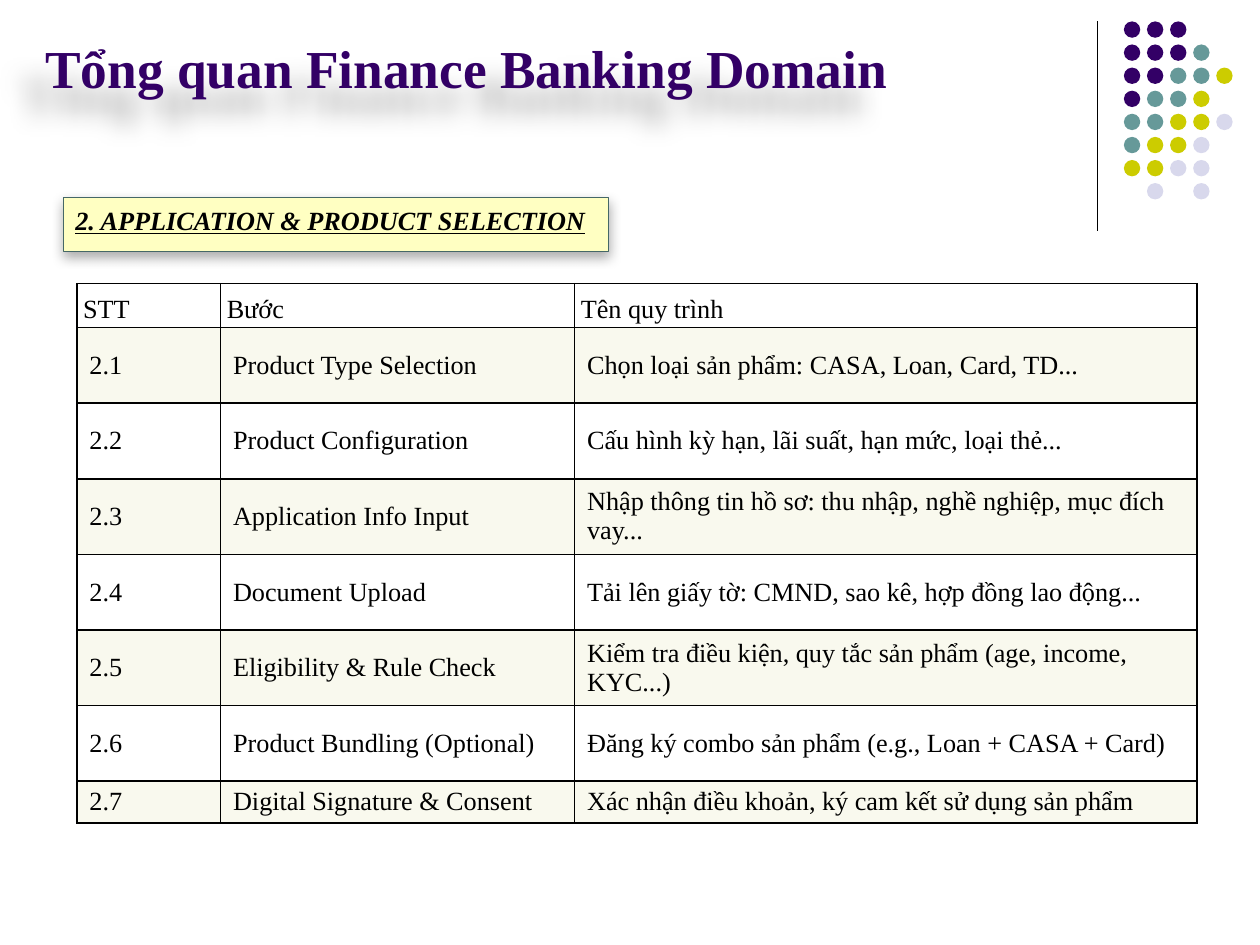
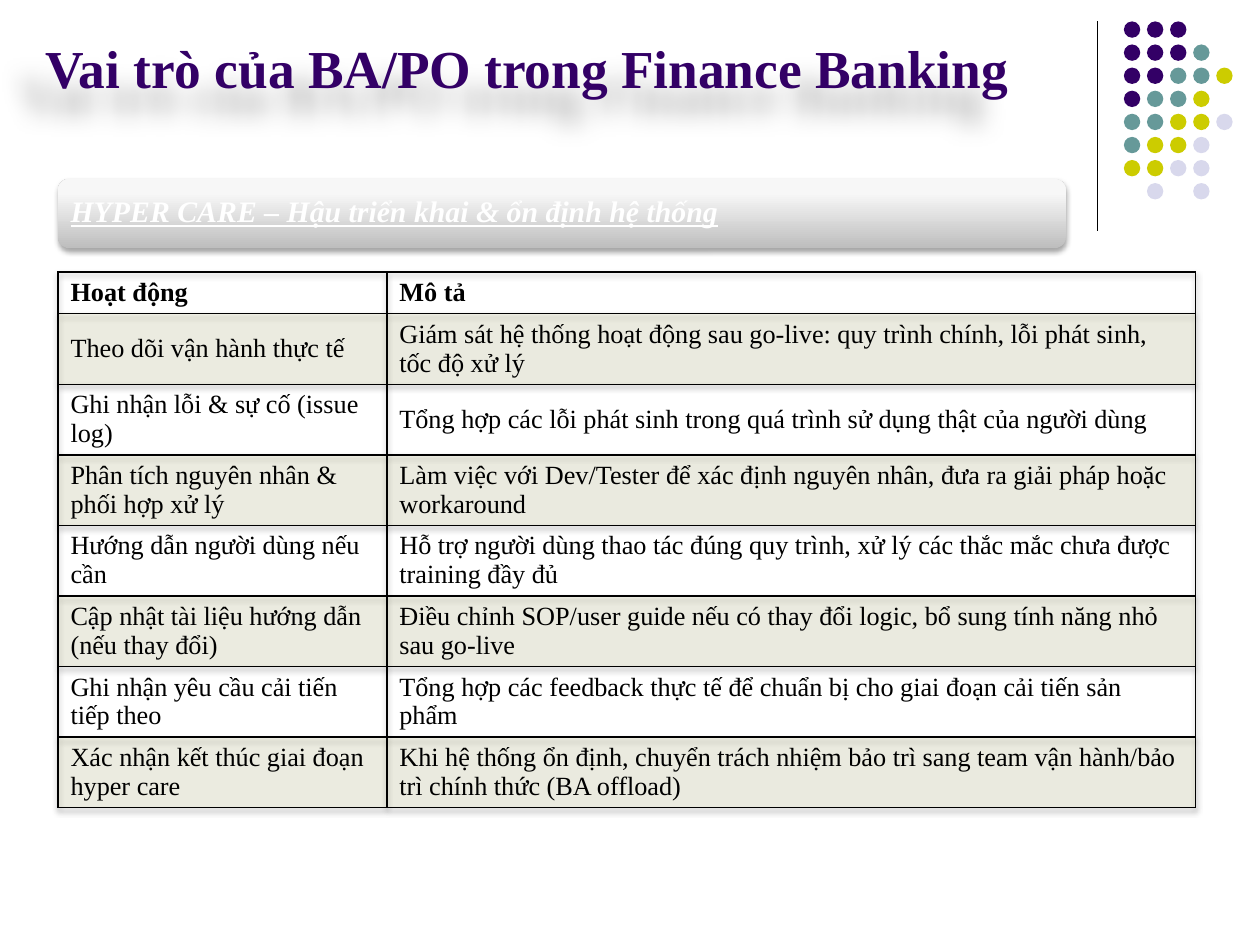
from lxml.etree import SubElement as Sub
from pptx import Presentation
from pptx.dml.color import RGBColor
from pptx.enum.shapes import MSO_CONNECTOR as Conn, MSO_SHAPE as Kind
from pptx.enum.text import MSO_ANCHOR as Anchor, PP_ALIGN as Align
from pptx.oxml import parse_xml
from pptx.oxml.ns import nsdecls, qn
from pptx.util import Inches, Pt

# Shared look
FONT = "Times New Roman"
BLACK = RGBColor(0x00, 0x00, 0x00)
WHITE = RGBColor(0xFF, 0xFF, 0xFF)
PLUM = RGBColor(0x33, 0x00, 0x66)
TEAL = RGBColor(0x66, 0x99, 0x99)
OLIVE = RGBColor(0xCC, 0xCC, 0x00)
LILAC = RGBColor(0xD8, 0xD8, 0xEC)
CREAM = RGBColor(0xFF, 0xFF, 0xC2)
MOSS = RGBColor(0x45, 0x67, 0x67)
BAND = RGBColor(0xE2, 0xE2, 0xAA)
GREY = RGBColor(0xBE, 0xBE, 0xBE)
PALE = RGBColor(0xF7, 0xF7, 0xF7)

# Dot grid, one letter a dot
DOTS = ("PPP", "PPPT", "PPTTY", "PTTY", "TTYYL", "TYYL", "YYLL", " L L")
HUES = {"P": PLUM, "T": TEAL, "Y": OLIVE, "L": LILAC}
STEP = 0.55 / 3

# Shadows: opacity %, blur pt, distance pt, angle
TITLE_SHADE = (30, 14, 20, 137)
LABEL_SHADE = (32, 7, 2.8, 90)
SOFT_SHADE = (35, 3.1, 1.8, 90)

STEPS = [
    ("STT", "Bước", "Tên quy trình"),
    ("2.1", "Product Type Selection",
     "Chọn loại sản phẩm: CASA, Loan, Card, TD..."),
    ("2.2", "Product Configuration",
     "Cấu hình kỳ hạn, lãi suất, hạn mức, loại thẻ..."),
    ("2.3", "Application Info Input",
     "Nhập thông tin hồ sơ: thu nhập, nghề nghiệp, mục đích vay..."),
    ("2.4", "Document Upload",
     "Tải lên giấy tờ: CMND, sao kê, hợp đồng lao động..."),
    ("2.5", "Eligibility & Rule Check",
     "Kiểm tra điều kiện, quy tắc sản phẩm (age, income, KYC...)"),
    ("2.6", "Product Bundling (Optional)",
     "Đăng ký combo sản phẩm (e.g., Loan + CASA + Card)"),
    ("2.7", "Digital Signature & Consent",
     "Xác nhận điều khoản, ký cam kết sử dụng sản phẩm"),
]
TASKS = [
    ("Hoạt động", "Mô tả"),
    ("Theo dõi vận hành thực tế",
     "Giám sát hệ thống hoạt động sau go-live: quy trình chính, "
     "lỗi phát sinh, tốc độ xử lý"),
    ("Ghi nhận lỗi & sự cố (issue log)",
     "Tổng hợp các lỗi phát sinh trong quá trình sử dụng thật của người dùng"),
    ("Phân tích nguyên nhân & phối hợp xử lý",
     "Làm việc với Dev/Tester để xác định nguyên nhân, đưa ra giải pháp "
     "hoặc workaround"),
    ("Hướng dẫn người dùng nếu cần",
     "Hỗ trợ người dùng thao tác đúng quy trình, xử lý các thắc mắc "
     "chưa được training đầy đủ"),
    ("Cập nhật tài liệu hướng dẫn (nếu thay đổi)",
     "Điều chỉnh SOP/user guide nếu có thay đổi logic, bổ sung tính năng nhỏ "
     "sau go-live"),
    ("Ghi nhận yêu cầu cải tiến tiếp theo",
     "Tổng hợp các feedback thực tế để chuẩn bị cho giai đoạn cải tiến "
     "sản phẩm"),
    ("Xác nhận kết thúc giai đoạn hyper care",
     "Khi hệ thống ổn định, chuyển trách nhiệm bảo trì sang team "
     "vận hành/bảo trì chính thức (BA offload)"),
]


def shade(look):
    """Return an effect list with one outer shadow."""
    alpha, blur, dist, turn = look
    return parse_xml(
        f'<a:effectLst {nsdecls("a")}><a:outerShdw blurRad="{Pt(blur)}" '
        f'dist="{Pt(dist)}" dir="{turn * 60000}" algn="ctr" rotWithShape="0">'
        f'<a:srgbClr val="{BLACK}"><a:alpha val="{alpha * 1000}"/></a:srgbClr>'
        '</a:outerShdw></a:effectLst>')


def cast(shape, look):
    shape.shadow.inherit = False
    props = shape._element.spPr
    props.replace(props.find(qn("a:effectLst")), shade(look))


def write(frame, text, size, color=BLACK, bold=False, slant=False):
    """Fill the first paragraph with one run; slanted text is underlined."""
    frame.word_wrap = True
    para = frame.paragraphs[0]
    run = para.add_run()
    run.text = text
    font = run.font
    font.name, font.size, font.bold = FONT, Pt(size), bold
    font.color.rgb = color
    if slant:
        font.italic = font.underline = True
    return para


def add_box(slide, kind, *place):
    shape = slide.shapes.add_shape(kind, *map(Inches, place))
    shape.shadow.inherit = False
    shape.line.fill.background()
    return shape


def add_text(slide, place, anchor, *words, **style):
    box = slide.shapes.add_textbox(*map(Inches, place))
    box.text_frame.vertical_anchor = anchor
    return box, write(box.text_frame, *words, **style)


def add_dots(slide):
    for row, line in enumerate(DOTS):
        for col, key in enumerate(line):
            if key in HUES:
                dot = add_box(slide, Kind.OVAL, 8.92 + col * STEP,
                              0.17 + row * STEP, 0.13, 0.13)
                dot.fill.solid()
                dot.fill.fore_color.rgb = HUES[key]


def add_rule(slide):
    ends = map(Inches, (8.71, 0.17, 8.71, 1.83))
    rule = slide.shapes.add_connector(Conn.STRAIGHT, *ends)
    rule.line.color.rgb = BLACK
    rule.line.width = Pt(0.75)
    Sub(rule._element.spPr, qn("a:effectLst"))


def new_slide(deck, title):
    """Start a slide with the shared rule, dots and title."""
    slide = deck.slides.add_slide(deck.slide_layouts[6])
    add_rule(slide)
    add_dots(slide)
    box, _ = add_text(slide, (0.26, 0.26, 8.42, 0.58), Anchor.BOTTOM,
                      title, 30.5, PLUM, bold=True)
    cast(box, TITLE_SHADE)
    return slide


def add_label(slide, text):
    label = add_box(slide, Kind.RECTANGLE, 0.5, 1.57, 4.33, 0.43)
    label.fill.solid()
    label.fill.fore_color.rgb = CREAM
    label.line.color.rgb = MOSS
    label.line.width = Pt(0.5)
    cast(label, LABEL_SHADE)
    label.text_frame.vertical_anchor = Anchor.TOP
    para = write(label.text_frame, text, 15, bold=True, slant=True)
    para.alignment = Align.LEFT


def add_banner(slide, text):
    bar = add_box(slide, Kind.ROUNDED_RECTANGLE, 0.46, 1.42, 8, 0.55)
    bar.fill.gradient()
    bar.fill.gradient_angle = 90
    for stop, (spot, hue) in zip(bar.fill.gradient_stops,
                                 ((0, GREY), (0.8, PALE))):
        stop.position = spot
        stop.color.rgb = hue
    cast(bar, SOFT_SHADE)
    box, para = add_text(slide, (0.49, 1.44, 7.95, 0.5), Anchor.MIDDLE,
                         text, 17, WHITE, bold=True, slant=True)
    para.line_spacing = 0.9
    frame = box.text_frame
    frame.margin_left = frame.margin_right = Inches(0.07)
    frame.margin_top = frame.margin_bottom = Inches(0.07)


def edge(cell):
    """Draw a thin black border on all four sides."""
    props = cell._tc.get_or_add_tcPr()
    for spot, side in enumerate("LRTB"):
        props.insert(spot, parse_xml(
            f'<a:ln{side} {nsdecls("a")} w="{Pt(1)}"><a:solidFill>'
            f'<a:srgbClr val="{BLACK}"/></a:solidFill></a:ln{side}>'))


def tint(cell, band):
    if not band:
        cell.fill.background()
        return
    cell.fill.solid()
    cell.fill.fore_color.rgb = BAND
    color = cell._tc.tcPr.find(".//" + qn("a:srgbClr"))
    Sub(color, qn("a:alpha"), val="20000")


def add_grid(slide, data, left, top, cols, rows, bold=False):
    frame = slide.shapes.add_table(
        len(rows), len(cols), Inches(left), Inches(top),
        Inches(sum(cols)), Inches(sum(rows)))
    table = frame.table
    table.first_row = table.horz_banding = False
    for col, width in zip(table.columns, cols):
        col.width = Inches(width)
    for num, (row, high) in enumerate(zip(table.rows, rows)):
        row.height = Inches(high)
        for cell, text in zip(row.cells, data[num]):
            cell.vertical_anchor = Anchor.MIDDLE
            cell.margin_top = cell.margin_bottom = Inches(0.02)
            write(cell.text_frame, text, 15, bold=bold and num == 0)
            tint(cell, num % 2)
            edge(cell)
    return table


def main():
    deck = Presentation()
    deck.slide_width, deck.slide_height = Inches(10), Inches(7.5)

    # Product selection steps
    slide = new_slide(deck, "Tổng quan Finance Banking Domain")
    add_label(slide, "2. APPLICATION & PRODUCT SELECTION")
    table = add_grid(slide, STEPS, 0.61, 2.25, (1.14, 2.81, 4.94),
                     [0.35] + [0.6] * 6 + [0.33])
    for cell in table.rows[0].cells:
        cell.margin_left = cell.margin_right = Inches(0.05)
        cell.margin_top, cell.margin_bottom = Inches(0.07), Inches(0.01)

    # Hyper care tasks
    slide = new_slide(deck, "Vai trò của BA/PO trong Finance Banking")
    add_banner(slide, "HYPER CARE – Hậu triển khai & ổn định hệ thống")
    table = add_grid(slide, TASKS, 0.46, 2.16, (2.61, 6.42),
                     [0.33] + [0.56] * 7, bold=True)
    table._tbl.tblPr.insert(0, shade(SOFT_SHADE))

    deck.save("out.pptx")


if __name__ == "__main__":
    main()
